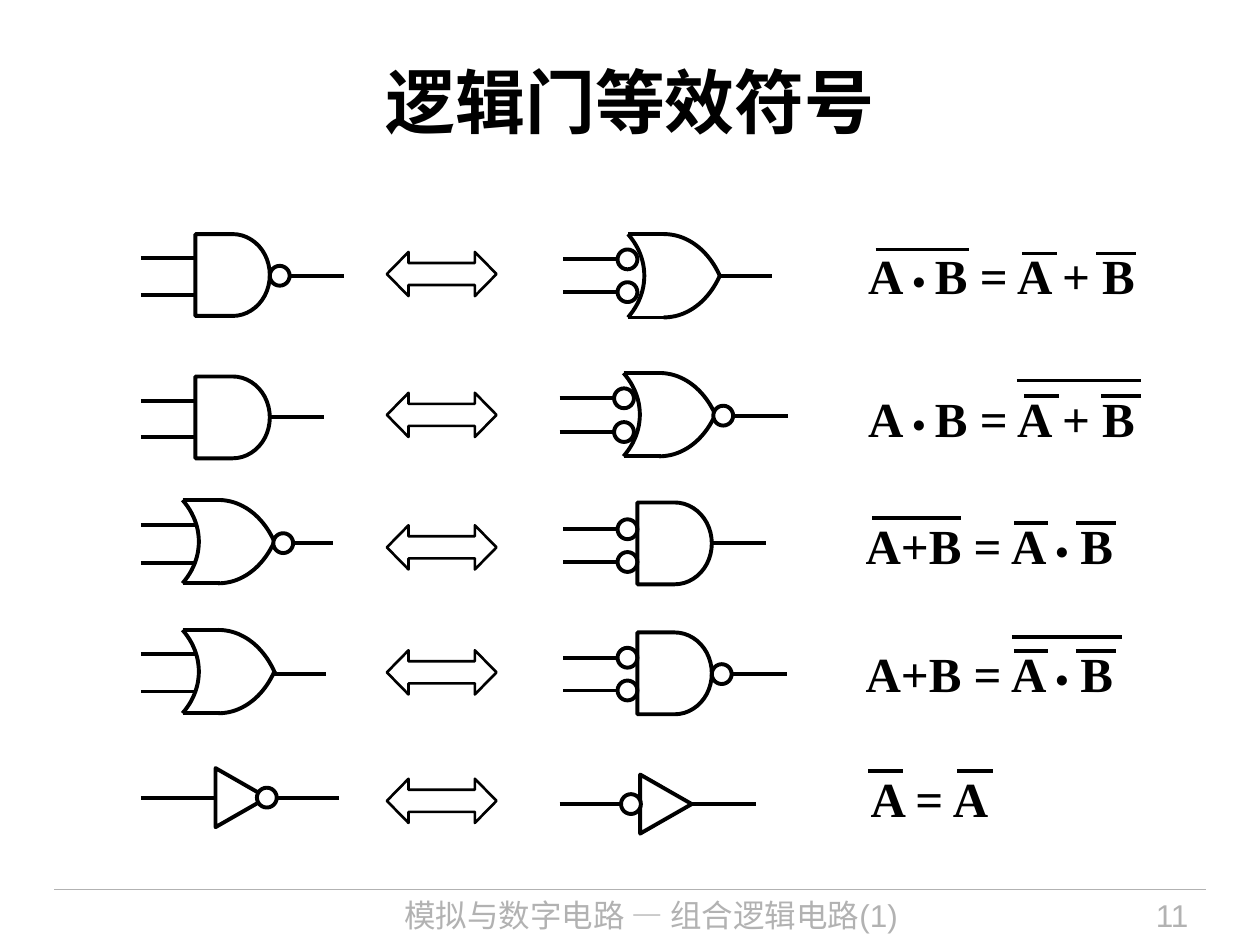
import pptx
import pptx.dml.color
import pptx.enum.shapes
import pptx.enum.text
import pptx.oxml
import pptx.util

Cm, Pt = pptx.util.Cm, pptx.util.Pt
hue = pptx.dml.color.RGBColor.from_string
kinds = pptx.enum.shapes.MSO_SHAPE
align = pptx.enum.text.PP_ALIGN
fit = pptx.enum.text.MSO_AUTO_SIZE
NS = "http://schemas.openxmlformats.org/drawingml/2006/main"

deck = pptx.Presentation()
deck.slide_width, deck.slide_height = Cm(25.4), Cm(19.05)
slide = deck.slides.add_slide(deck.slide_layouts[5])
shapes = slide.shapes


def wire(start, end, y, tint="000000", width=2.25):
    line = shapes.add_connector(
        pptx.enum.shapes.MSO_CONNECTOR.STRAIGHT, Cm(start), Cm(y), Cm(end), Cm(y))
    line.line.color.rgb = hue(tint)
    line.line.width = Pt(width)
    line._element.spPr.append(pptx.oxml.parse_xml(f'<a:effectLst xmlns:a="{NS}"/>'))
    return line


def style(shape, fill=None, width=2.25):
    shape.shadow.inherit = False
    if fill:
        shape.fill.solid()
        shape.fill.fore_color.rgb = hue(fill)
    else:
        shape.fill.background()
    shape.line.color.rgb = hue("000000")
    shape.line.width = Pt(width)
    return shape


# Footer rule
wire(1.09, 24.31, 17.93, "B2B2B2", 0.75)

# Gates: kind, left, top, input start, input heights,
# output start, output height, input bubbles, left of output bubble
gates = [
    ("and", 3.94, 4.72, 2.84, (5.21, 5.94), 5.84, 5.56, False, 5.44),
    ("or", 12.66, 4.72, 11.35, (5.23, 5.89), 14.47, 5.56, True, None),
    ("and", 3.94, 7.59, 2.84, (8.08, 8.81), 5.44, 8.43, False, None),
    ("or", 12.57, 7.52, 11.28, (8.03, 8.71), 14.78, 8.38, True, 14.38),
    ("or", 3.68, 10.08, 2.84, (10.59, 11.35), 5.61, 10.95, False, 5.51),
    ("and", 12.85, 10.13, 11.35, (10.67, 11.33), 14.35, 11, True, None),
    ("or", 3.68, 12.7, 2.84, (13.18, 13.94), 5.48, 13.59, False, None),
    ("and", 12.85, 12.75, 11.35, (13.26, 13.92), 14.76, 13.59, True, 14.35),
]
# Control points of the three curves of an OR gate
curves = [
    [(0.72, 0), (1.2, 0), (1.63, 0.33), (1.86, 0.86)],
    [(0.72, 1.68), (1.2, 1.68), (1.63, 1.35), (1.86, 0.82)],
    [(0, 0), (0.44, 0.5), (0.44, 1.18), (0, 1.68)],
]
size, steps = 0.4, 24
for kind, left, top, start, levels, out, mid, dots, dot in gates:
    for y in levels:
        wire(start, start + 1.1, y)
    lead = wire(out, out + 1.1, mid)
    if kind == "and":
        gate = style(shapes.add_shape(
            kinds.FLOWCHART_DELAY, Cm(left), Cm(top), Cm(1.5), Cm(1.65)))
        if dot is None:
            lead.begin_connect(gate, 3)
            lead.end_y = lead.begin_y
    else:
        for curve in curves:
            points = []
            for step in range(steps + 1):
                t = step / steps
                parts = ((1 - t) ** 3, 3 * t * (1 - t) ** 2, 3 * t * t * (1 - t), t ** 3)
                x, y = (sum(p * c[axis] for p, c in zip(parts, curve)) for axis in (0, 1))
                points.append((Cm(left + x), Cm(top + y)))
            path = shapes.build_freeform(*points[0])
            path.add_line_segments(points[1:], close=False)
            style(path.convert_to_shape())
        for y in (top, top + 1.68):
            wire(left, left + 0.76, y)
    # Bubbles
    spots = [(start + 1.1, y, None) for y in levels] if dots else []
    if dot is not None:
        spots.append((dot, mid, "FFFFFF"))
    for x, y, fill in spots:
        style(shapes.add_shape(
            kinds.OVAL, Cm(x), Cm(y - size / 2), Cm(size), Cm(size)), fill)

# Inverters: wire start, wire end, height, triangle left, bubble left
for start, end, y, left, dot in [(2.84, 6.83, 16.08, 4.27, 5.18),
                                 (11.28, 15.24, 16.21, 12.83, 12.52)]:
    wire(start, end, y)
    gate = style(shapes.add_shape(
        kinds.ISOSCELES_TRIANGLE, Cm(left), Cm(y - 0.52), Cm(1.19), Cm(1.04)), "FFFFFF")
    gate.rotation = 90
    style(shapes.add_shape(
        kinds.OVAL, Cm(dot), Cm(y - size / 2), Cm(size), Cm(size)), "FFFFFF")

# Arrows between equal symbols
for top in (5.08, 7.92, 10.59, 13.11, 15.7):
    arrow = style(shapes.add_shape(
        kinds.LEFT_RIGHT_ARROW, Cm(7.8), Cm(top), Cm(2.21), Cm(0.89)), width=1.5)
    arrow.adjustments[1] = 0.49

# Bars over the formulas
for y, spans in [
    (5.03, [(17.65, 19.53)]), (5.11, [(20.6, 21.31), (22.1, 22.91)]),
    (7.67, [(20.5, 23.01)]), (7.98, [(20.65, 21.34), (22.2, 23.01)]),
    (10.44, [(17.58, 19.38)]), (10.54, [(20.45, 21.13), (21.69, 22.5)]),
    (12.85, [(20.4, 22.61)]), (13.13, [(20.45, 21.13), (21.69, 22.5)]),
    (15.54, [(17.5, 18.21), (19.3, 20.02)]),
]:
    for start, end in spans:
        wire(start, end, y)

# Title, formulas and footer text
head = {"name": "Arial", "size": Pt(40), "bold": True}
math = {"name": "Times New Roman", "size": Pt(28), "bold": True}
point = {"name": "Arial", "size": Pt(20), "bold": True}
foot = {"name": "Arial", "size": Pt(18), "bold": False}
times = ["A ", "• ", "B = A + B"]
plus = ["A+B = A ", "•", " B"]
texts = [
    (1.27, 0.43, 22.86, 3.18, ["逻辑门等效符号"], head, "000000", align.CENTER),
    (17.25, 4.83, 6.07, 1.45, times, math, "000000", align.LEFT),
    (17.25, 7.7, 6.07, 1.45, times, math, "000000", align.LEFT),
    (17.2, 10.26, 5.61, 1.45, plus, math, "000000", align.LEFT),
    (17.2, 12.85, 5.61, 1.45, plus, math, "000000", align.LEFT),
    (17.3, 15.37, 3, 1.45, ["A = A"], math, "000000", align.LEFT),
    (6.32, 17.93, 13.61, 1.12, ["模拟与数字电路 — 组合逻辑电路(1)"], foot, "B2B2B2", align.CENTER),
    (20.83, 17.93, 3.38, 1.12, ["11"], foot, "B2B2B2", align.RIGHT),
]
for left, top, wide, high, runs, form, tint, side in texts:
    place = [Cm(v) for v in (left, top, wide, high)]
    if form is head:
        box = shapes.title
        box.left, box.top, box.width, box.height = place
    else:
        box = shapes.add_textbox(*place)
    frame = box.text_frame
    frame.word_wrap = form is not math
    frame.auto_size = fit.SHAPE_TO_FIT_TEXT if form is math else fit.NONE
    para = frame.paragraphs[0]
    para.alignment = side
    for text in runs:
        run = para.add_run()
        run.text = text
        run.font.color.rgb = hue(tint)
        for key, value in (point if "•" in text else form).items():
            setattr(run.font, key, value)
shapes.title.text_frame.vertical_anchor = pptx.enum.text.MSO_ANCHOR.MIDDLE

deck.save("out.pptx")
